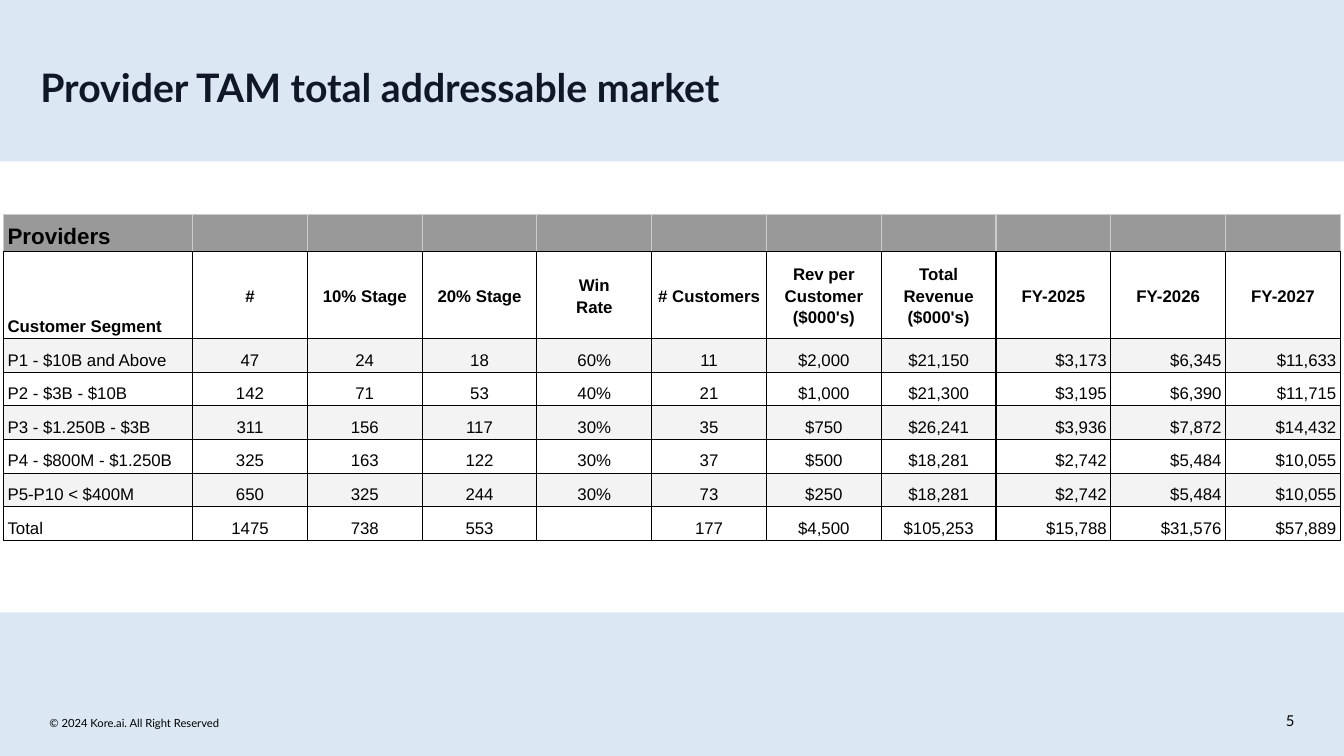
from lxml.etree import SubElement
from pptx import Presentation
from pptx.dml.color import RGBColor
from pptx.enum.shapes import MSO_SHAPE
from pptx.enum.text import MSO_ANCHOR, PP_ALIGN
from pptx.oxml.ns import qn
from pptx.util import Pt

# Content
TITLE = "Provider TAM total addressable market"
COPYRIGHT = "© 2024 Kore.ai. All Right Reserved"
PAGE_NUMBER = "5"
BANNER = ["Providers"] + [""] * 10
HEADINGS = ["Customer Segment", "#", "10% Stage", "20% Stage", "Win\nRate", "# Customers",
            "Rev per\nCustomer\n($000's)", "Total\nRevenue\n($000's)",
            "FY-2025", "FY-2026", "FY-2027"]
SEGMENTS = [
    ["P1 - $10B and Above", "47", "24", "18", "60%", "11", "$2,000", "$21,150",
     "$3,173", "$6,345", "$11,633"],
    ["P2 - $3B - $10B", "142", "71", "53", "40%", "21", "$1,000", "$21,300",
     "$3,195", "$6,390", "$11,715"],
    ["P3 - $1.250B - $3B", "311", "156", "117", "30%", "35", "$750", "$26,241",
     "$3,936", "$7,872", "$14,432"],
    ["P4 - $800M - $1.250B", "325", "163", "122", "30%", "37", "$500", "$18,281",
     "$2,742", "$5,484", "$10,055"],
    ["P5-P10 < $400M", "650", "325", "244", "30%", "73", "$250", "$18,281",
     "$2,742", "$5,484", "$10,055"],
    ["Total", "1475", "738", "553", "", "177", "$4,500", "$105,253",
     "$15,788", "$31,576", "$57,889"],
]
ROWS = [BANNER, HEADINGS] + SEGMENTS

# Colours and sizes
PALE_BLUE = RGBColor(0xDB, 0xE7, 0xF3)
NAVY = RGBColor(0x10, 0x17, 0x27)
BLACK = RGBColor(0, 0, 0)
WHITE = RGBColor(0xFF, 0xFF, 0xFF)
GREY = RGBColor(0x99, 0x99, 0x99)
LIGHT_GREY = RGBColor(0xCC, 0xCC, 0xCC)
STRIPE = RGBColor(0xF3, 0xF3, 0xF3)
COLUMN_WIDTHS = [101.3] + [61.5] * 10
ROW_HEIGHTS = [19.8, 46.8] + [18] * len(SEGMENTS)
FIRST_YEAR_COLUMN = 8


def add_text(para, text, size, font, color=BLACK, bold=False):
    span = para.add_run()
    span.text = text
    span.font.size = Pt(size)
    span.font.name = font
    span.font.bold = bold
    span.font.color.rgb = color


def set_margins(target, horizontal, vertical):
    target.margin_left = target.margin_right = Pt(horizontal)
    target.margin_top = target.margin_bottom = Pt(vertical)


def add_footer(page, left, width, text, size, align):
    box = page.shapes.add_textbox(Pt(left), Pt(378.7), Pt(width), Pt(15.8))
    frame = box.text_frame
    frame.word_wrap = True
    frame.vertical_anchor = MSO_ANCHOR.BOTTOM
    set_margins(frame, 7.2, 3.6)
    frame.paragraphs[0].alignment = align
    add_text(frame.paragraphs[0], text, size, "Lato")


def set_borders(cell, colors):
    properties = cell._tc.get_or_add_tcPr()
    for side, color in zip("LRTB", colors):
        line = SubElement(properties, qn(f"a:ln{side}"), w=str(Pt(0.68)))
        fill = SubElement(line, qn("a:solidFill"))
        SubElement(fill, qn("a:srgbClr"), val=str(color))


def fill_cell(cell, text, row, column):
    banner, heading = row == 0, row == 1
    size = 12 if banner else 9
    set_borders(cell, [LIGHT_GREY] * 3 + [BLACK] if banner else [BLACK] * 4)
    cell.fill.solid()
    cell.fill.fore_color.rgb = GREY if banner else WHITE if row % 2 else STRIPE
    if row == 1 or row == len(ROWS) - 1:
        cell.fill.fore_color.rgb = WHITE
    elif not banner:
        cell.fill.fore_color.rgb = STRIPE if row % 2 == 0 else WHITE
    set_margins(cell, 2.16, 1.44)
    cell.vertical_anchor = MSO_ANCHOR.MIDDLE if heading and column else MSO_ANCHOR.BOTTOM
    if column == 0:
        align = PP_ALIGN.LEFT
    elif column >= FIRST_YEAR_COLUMN and not heading:
        align = PP_ALIGN.RIGHT
    else:
        align = PP_ALIGN.CENTER
    frame = cell.text_frame
    for index, line in enumerate(text.split("\n")):
        para = frame.add_paragraph() if index else frame.paragraphs[0]
        para.alignment = align
        para.line_spacing = 1.15
        if line:
            add_text(para, line, size, "Arial", bold=banner or heading)
        else:
            # An empty cell needs a small size so that its row does not grow
            SubElement(para._p, qn("a:endParaRPr"), sz=str(size * 100))


deck = Presentation()
deck.slide_width, deck.slide_height = Pt(720), Pt(405)
page = deck.slides.add_slide(deck.slide_layouts[5])
page.background.fill.solid()
page.background.fill.fore_color.rgb = PALE_BLUE

# White band behind the table
band = page.shapes.add_shape(MSO_SHAPE.RECTANGLE, Pt(-0.7), Pt(86.4), Pt(720.7), Pt(241.7))
band.shadow.inherit = False
band.fill.solid()
band.fill.fore_color.rgb = WHITE
band.line.fill.background()

# Title
title = page.shapes.title
title.left, title.top, title.width, title.height = Pt(21.6), Pt(31), Pt(442.8), Pt(31)
frame = title.text_frame
frame.word_wrap = True
frame.vertical_anchor = MSO_ANCHOR.MIDDLE
set_margins(frame, 0, 0)
frame.paragraphs[0].alignment = PP_ALIGN.LEFT
add_text(frame.paragraphs[0], TITLE, 21, "Lato", NAVY, bold=True)

# Footer
add_footer(page, 19.4, 222.5, COPYRIGHT, 6, PP_ALIGN.LEFT)
add_footer(page, 646.6, 54, PAGE_NUMBER, 8, PP_ALIGN.RIGHT)

# Market table
table = page.shapes.add_table(len(ROWS), len(COLUMN_WIDTHS), Pt(1.9), Pt(114.9),
                              Pt(sum(COLUMN_WIDTHS)), Pt(sum(ROW_HEIGHTS))).table
for column, width in zip(table.columns, COLUMN_WIDTHS):
    column.width = Pt(width)
for table_row, height in zip(table.rows, ROW_HEIGHTS):
    table_row.height = Pt(height)
for row, texts in enumerate(ROWS):
    for column, text in enumerate(texts):
        fill_cell(table.cell(row, column), text, row, column)

deck.save("out.pptx")
